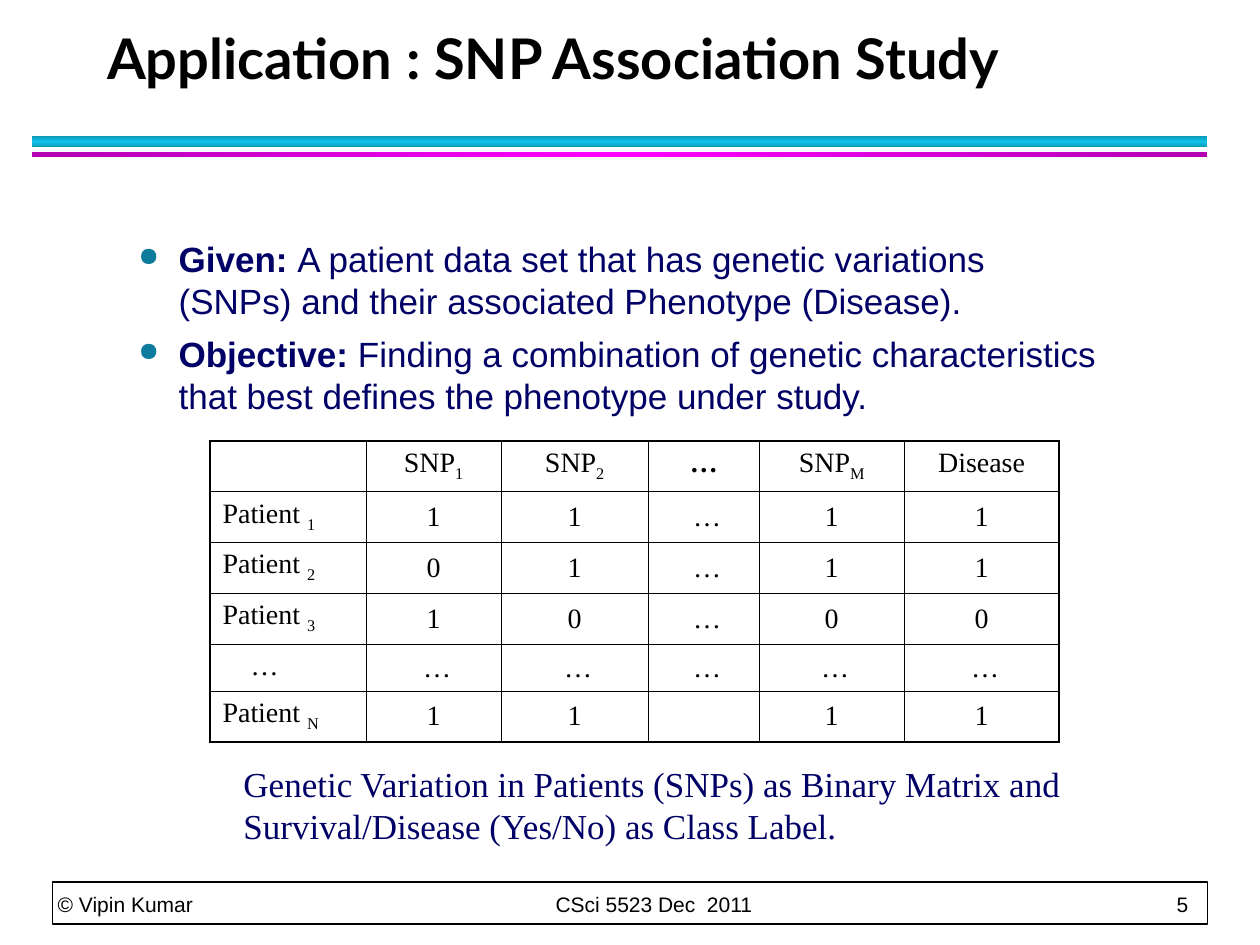
from copy import deepcopy

from lxml.etree import SubElement
from pptx import Presentation
from pptx.dml.color import RGBColor
from pptx.enum.shapes import MSO_SHAPE as Shape
from pptx.enum.text import MSO_ANCHOR as Anchor, PP_ALIGN as Align
from pptx.oxml.ns import qn
from pptx.util import Pt

SANS, SERIF, TITLE_FONT = "Arial", "Times New Roman", "Lato"
BLACK, NAVY, TEAL, WHITE = "000000", "000066", "0C7B9C", "FFFFFF"
CYAN, DARK_CYAN, MAGENTA, DARK_MAGENTA = "12C2E9", "0E9BBA", "FF00FF", "B200B2"

COLUMN_WIDTHS = [89.3, 77, 84.2, 63.4, 82.8, 88.6]
ROW_HEIGHTS = [28.8, 28.8, 28.8, 28.8, 26.6, 28.8]
# An underscore marks the start of a subscript
MATRIX = [
    ["", "SNP_1", "SNP_2", "…", "SNP_M", "Disease"],
    ["Patient _1", "1", "1", " …", "1", "1"],
    ["Patient _2", "0", "1", " …", "1", "1"],
    ["Patient _3", "1", "0", " …", "0", "0"],
    ["…", " …", " …", " …", " …", " …"],
    ["Patient _N", "1", "1", "", "1", "1"],
]


def color(value):
    return RGBColor.from_string(value)


def write(paragraph, text, *, font=SANS, size=20, ink=BLACK, bold=False,
          baseline=None, align=Align.LEFT, before=0, after=0, line=None):
    """Add one formatted run and set the paragraph's spacing."""
    run = paragraph.add_run()
    run.text = text
    run.font.name, run.font.size, run.font.bold = font, Pt(size), bold
    run.font.color.rgb = color(ink)
    if baseline:
        run.font._element.set("baseline", str(baseline * 1000))
    paragraph.alignment = align
    paragraph.space_before, paragraph.space_after = Pt(before), Pt(after)
    if line:
        paragraph.line_spacing = Pt(line)


def set_frame(frame, margins=(7.2, 3.6, 7.2, 3.6), anchor=Anchor.TOP):
    frame.word_wrap = True
    frame.vertical_anchor = anchor
    (frame.margin_left, frame.margin_top,
     frame.margin_right, frame.margin_bottom) = map(Pt, margins)
    return frame


def add_text_frame(slide, box, **options):
    return set_frame(slide.shapes.add_textbox(*map(Pt, box)).text_frame, **options)


def add_rectangle(slide, box):
    shape = slide.shapes.add_shape(Shape.RECTANGLE, *map(Pt, box))
    shape.shadow.inherit = False
    return shape


def add_footer(slide, box):
    left, top, width, height = box
    frame_shape = add_rectangle(slide, box)
    frame_shape.fill.solid()
    frame_shape.fill.fore_color.rgb = color(WHITE)
    frame_shape.line.color.rgb = color(BLACK)
    frame_shape.line.width = Pt(1)

    frame = add_text_frame(slide, (left, top, width - 1, height - 4),
                           margins=(3, 0, 0, 0), anchor=Anchor.BOTTOM)
    paragraph = frame.paragraphs[0]
    write(paragraph, "© Vipin Kumar\tCSci 5523 Dec  2011\t5", size=12, line=20)
    tab_list = SubElement(paragraph._p.get_or_add_pPr(), qn("a:tabLst"))
    for position, side in ((284.5, "l"), (width - 14, "r")):
        SubElement(tab_list, qn("a:tab"), pos=str(Pt(position)), algn=side)


def add_title(slide, box):
    title = slide.shapes.title
    title.left, title.top, title.width, title.height = map(Pt, box)
    frame = set_frame(title.text_frame, (7.2, 0, 7.2, 0), Anchor.BOTTOM)
    write(frame.paragraphs[0], "Application : SNP Association Study",
          font=TITLE_FONT, size=32, bold=True, line=36)


def add_gradient_bar(slide, box, edge, middle, angle):
    bar = add_rectangle(slide, box)
    bar.line.fill.background()
    bar.fill.gradient()
    bar.fill.gradient_angle = angle
    stop_list = bar._element.spPr.find(".//" + qn("a:gsLst"))
    stop_list.append(deepcopy(stop_list[0]))
    for stop, position, value in zip(bar.fill.gradient_stops, (0, 0.5, 1),
                                     (edge, middle, edge)):
        stop.position = position
        stop.color.rgb = color(value)


def add_title_rule(slide, box):
    left, top, width, height = box
    add_gradient_bar(slide, (left, top, width, 6), DARK_CYAN, CYAN, 90)
    add_gradient_bar(slide, (left, top + height - 3, width, 3),
                     DARK_MAGENTA, MAGENTA, 0)


def add_bullet(paragraph, indent):
    properties = paragraph._p.get_or_add_pPr()
    properties.set("marL", str(Pt(indent)))
    properties.set("indent", str(-Pt(indent)))
    bullet_color = SubElement(properties, qn("a:buClr"))
    SubElement(bullet_color, qn("a:srgbClr"), val=TEAL)
    SubElement(properties, qn("a:buSzPct"), val="75000")
    SubElement(properties, qn("a:buChar"), char="●")


def add_statements(slide, box):
    statements = [
        ("Given: ", "A patient data set that has genetic variations (SNPs) "
                    "and their associated Phenotype (Disease)."),
        ("Objective:", " Finding a combination of genetic characteristics "
                       "that best defines the phenotype under study."),
    ]
    frame = add_text_frame(slide, box)
    for index, (lead, detail) in enumerate(statements):
        paragraph = frame.add_paragraph() if index else frame.paragraphs[0]
        for text, bold in ((lead, True), (detail, False)):
            write(paragraph, text, ink=NAVY, bold=bold, before=2.5, after=4)
        add_bullet(paragraph, 23)


def set_borders(cell, widths):
    properties = cell._tc.get_or_add_tcPr()
    for side, width in widths.items():
        line = SubElement(properties, qn("a:ln" + side), w=str(Pt(width)))
        fill = SubElement(line, qn("a:solidFill"))
        SubElement(fill, qn("a:srgbClr"), val=BLACK)


def add_matrix(slide, box):
    last_row, last_column = len(MATRIX) - 1, len(MATRIX[0]) - 1
    table = slide.shapes.add_table(last_row + 1, last_column + 1,
                                   *map(Pt, box)).table
    table.first_row = table.horz_banding = False
    for column, width in zip(table.columns, COLUMN_WIDTHS):
        column.width = Pt(width)
    for row, height in zip(table.rows, ROW_HEIGHTS):
        row.height = Pt(height)

    for r, values in enumerate(MATRIX):
        for c, value in enumerate(values):
            cell = table.cell(r, c)
            # Heavier lines run round the outside
            outer = {"L": c == 0, "R": c == last_column,
                     "T": r == 0, "B": r == last_row}
            set_borders(cell, {side: 1.08 if edge else 0.45
                               for side, edge in outer.items()})
            cell.fill.background()
            cell.vertical_anchor = Anchor.MIDDLE if r and c else Anchor.TOP
            paragraph = cell.text_frame.paragraphs[0]
            style = dict(font=SERIF, size=16, before=4,
                         align=Align.CENTER if c else Align.LEFT)
            text, _, subscript = value.partition("_")
            write(paragraph, text, bold=r == 0 and value == "…", **style)
            if subscript:
                write(paragraph, subscript, baseline=-25, **style)
            if c == 0 and value == "…":
                paragraph._p.get_or_add_pPr().set("marL", str(Pt(16)))


def add_caption(slide, box):
    frame = add_text_frame(slide, box)
    write(frame.paragraphs[0],
          "Genetic Variation in Patients (SNPs) as Binary Matrix and "
          "Survival/Disease (Yes/No) as Class Label.",
          font=SERIF, ink=NAVY, before=12.5)


def main():
    presentation = Presentation()
    presentation.slide_width, presentation.slide_height = Pt(720), Pt(540)
    slide = presentation.slides.add_slide(presentation.slide_layouts[5])
    add_footer(slide, (30, 504, 660, 24))
    add_title(slide, (54, 48, 612, 3.6))
    add_statements(slide, (72, 132, 564, 120))
    add_matrix(slide, (120, 252, 486, 171.4))
    add_caption(slide, (132, 432, 516, 55.4))
    add_title_rule(slide, (18, 78, 672, 12))
    presentation.save("out.pptx")


if __name__ == "__main__":
    main()
